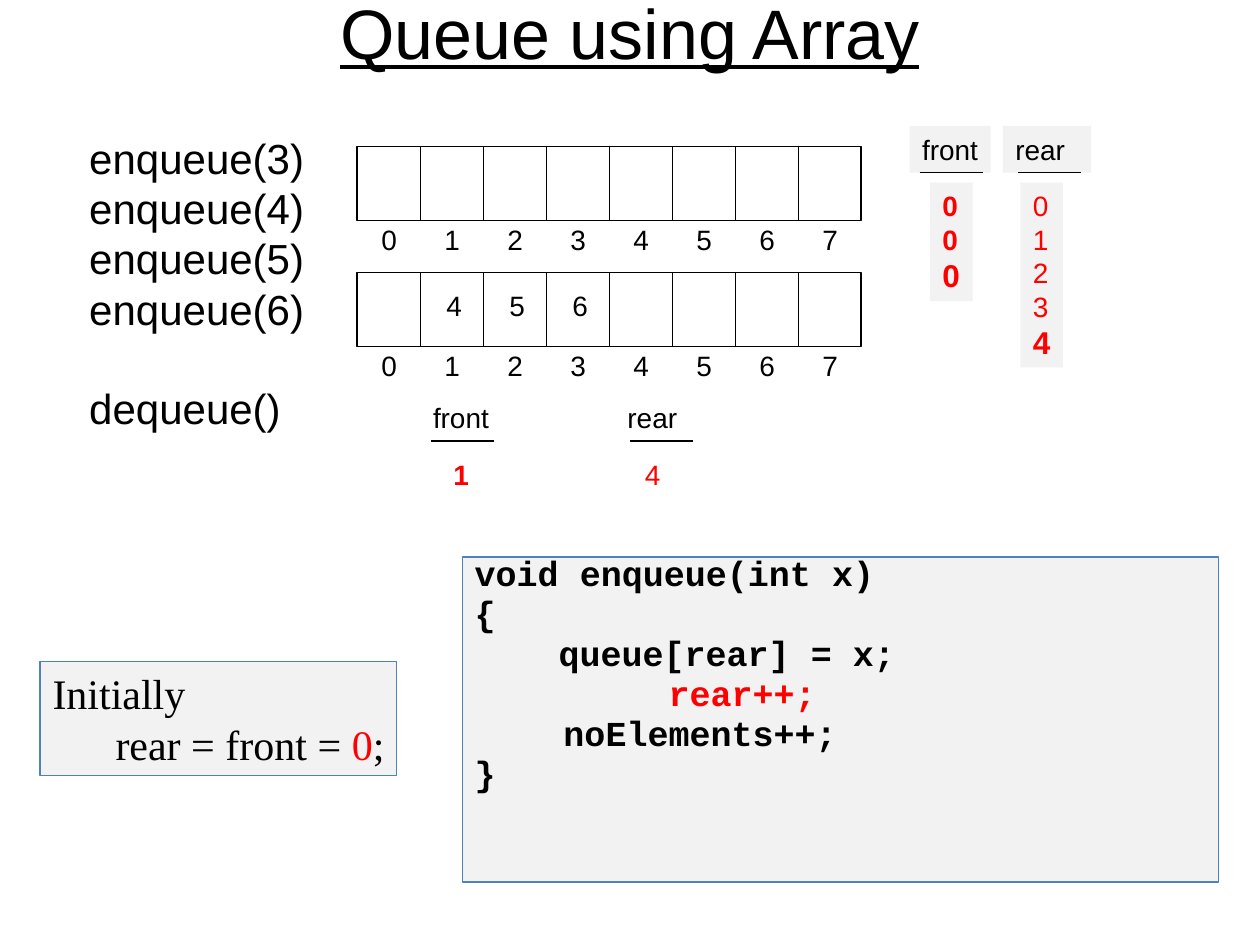
"""Build the slide on a queue held in an array."""
import pptx
import pptx.dml.color
import pptx.enum.shapes
import pptx.enum.text
import pptx.util
from lxml import etree

Cm, Pt = pptx.util.Cm, pptx.util.Pt
ALIGN, ANCHOR = pptx.enum.text.PP_ALIGN, pptx.enum.text.MSO_ANCHOR
BLACK, RED, GREY, BLUE, WHITE = "000000", "FF0000", "F2F2F2", "4F81BD", "FFFFFF"

BASE = {"size": Pt(16), "name": "Arial", "bold": False, "color": BLACK}
REDS = {"color": RED}
BOLD_RED = {"color": RED, "bold": True}
LAST = {**BOLD_RED, "size": Pt(18)}
CALL = {"size": Pt(24)}
CODE = {"size": Pt(20), "name": "Courier New", "bold": True}
NOTE = {"size": Pt(24), "name": "Times New Roman"}
CODE_GAP = {"line_spacing": 0.7, "space_before": Pt(6)}

LEFT, CELL, HEIGHT, CELLS = 7.2, 1.27, 1.48, 8
ARRAYS = [(2.96, {}), (5.5, {1: "4", 2: "5", 3: "6"})]
UNDERLINES = [(18.54, 3.48), (20.52, 3.48), (8.69, 8.89), (12.7, 8.89)]

TITLE = ((1.27, -0.64, 22.86, 2.54), [
    ([("Queue using Array", {"size": Pt(40), "underline": True})], {"alignment": ALIGN.CENTER}, 0),
], {"anchor": ANCHOR.MIDDLE, "wrap": True})

LABELS = [
    ((18.34, 2.54, 1.63, 0.94), "front", {"fill": GREY}),
    ((20.22, 2.54, 1.78, 0.94), "rear", {"fill": GREY, "wrap": True}),
    ((8.48, 7.95, 1.63, 0.94), "front", {}),
    ((12.4, 7.95, 1.78, 0.94), "rear", {"wrap": True}),
]

BLOCKS = [
    TITLE,
    ((18.75, 3.68, 0.86, 2.39), [
        ([("0", BOLD_RED)], {}, 0),
        ([("0", BOLD_RED)], {}, 0),
        ([("0", LAST)], {}, 0),
    ], {"fill": GREY}),
    ((20.57, 3.68, 0.86, 3.73),
     [([(n, REDS)], {}, 0) for n in "0123"] + [([("4", LAST)], {}, 0)],
     {"fill": GREY}),
    ((1.55, 2.54, 4.83, 6.35),
     [([(f"enqueue({n})", CALL)], {}, 0) for n in (3, 4, 5, 6)]
     + [([("dequeue()", CALL)], {"space_before": Pt(27.6)}, 0)], {}),
    ((8.89, 9.09, 0.81, 0.94), [([("1", BOLD_RED)], {}, 0)], {}),
    ((12.75, 9.09, 0.81, 0.94), [([("4", REDS)], {}, 0)], {}),
    ((9.32, 11.23, 15.24, 6.55), [
        ([("void enqueue(int x)", CODE)], CODE_GAP, 0),
        ([("{", CODE)], CODE_GAP, 0),
        ([("queue[rear] = x;", CODE)], CODE_GAP, 1.69),
        ([("rear++;", {**CODE, **REDS})], CODE_GAP, 3.91),
        ([("noElements++;", CODE)], CODE_GAP, 1.79),
        ([("}", CODE)], CODE_GAP, 0),
    ], {"fill": GREY, "line": BLUE, "wrap": True}),
    ((0.81, 13.34, 7.19, 2.29), [
        ([("Initially", NOTE)], {}, 0),
        ([("rear = front = ", NOTE), ("0", {**NOTE, **REDS}), (";", NOTE)], {}, 1.27),
    ], {"fill": GREY, "line": BLUE}),
]


def rgb(h):
    return pptx.dml.color.RGBColor.from_string(h)


def rect(s, at, fill, line=None):
    sp = s.shapes.add_shape(pptx.enum.shapes.MSO_SHAPE.RECTANGLE, *map(Cm, at))
    sp.shadow.inherit = False
    sp.fill.solid()
    sp.fill.fore_color.rgb = rgb(fill)
    if line:
        sp.line.color.rgb = rgb(line)
        sp.line.width = Pt(0.75)
    else:
        sp.line.fill.background()
    return sp


def line(s, x1, y1, x2, y2):
    c = s.shapes.add_connector(pptx.enum.shapes.MSO_CONNECTOR.STRAIGHT, *map(Cm, (x1, y1, x2, y2)))
    c.line.color.rgb = rgb(BLACK)
    c.line.width = Pt(0.75)
    etree.SubElement(c._element.spPr, pptx.oxml.ns.qn("a:effectLst"))
    return c


def block(s, at, paras, fill=None, line=None, wrap=False, anchor=ANCHOR.TOP):
    sp = rect(s, at, fill, line) if fill else s.shapes.add_textbox(*map(Cm, at))
    tf = sp.text_frame
    tf.word_wrap, tf.vertical_anchor = wrap, anchor
    for i, (runs, layout, indent) in enumerate(paras):
        p = tf.add_paragraph() if i else tf.paragraphs[0]
        for k, v in {"alignment": ALIGN.LEFT, **layout}.items():
            setattr(p, k, v)
        p._p.get_or_add_pPr().set("marL", str(Cm(indent)))
        for text, style in runs:
            r = p.add_run()
            r.text = text
            for k, v in {**BASE, **style}.items():
                if k == "color":
                    r.font.color.rgb = rgb(v)
                else:
                    setattr(r.font, k, v)


def label(s, at, text, **opts):
    block(s, at, [([(text, {})], {}, 0)], **opts)


def array(s, top, values):
    sp = rect(s, (LEFT, top, CELL * CELLS, HEIGHT), WHITE, BLACK)
    for i in range(CELLS):
        x = LEFT + i * CELL
        if i:
            c = line(s, x, top, x, top + HEIGHT)
            if i == CELLS // 2:
                c.begin_connect(sp, 0)
                c.end_connect(sp, 2)
        label(s, (x + 0.24, top + 1.4, 0.81, 0.94), str(i))
        if i in values:
            label(s, (x + 0.28, top + 0.2, 0.81, 0.94), values[i])


def main():
    prs = pptx.Presentation()
    prs.slide_width, prs.slide_height = Cm(25.4), Cm(19.05)
    s = prs.slides.add_slide(prs.slide_layouts[6])
    for top, values in ARRAYS:
        array(s, top, values)
    for at, text, opts in LABELS:
        label(s, at, text, **opts)
    for at, paras, opts in BLOCKS:
        block(s, at, paras, **opts)
    for x, y in UNDERLINES:
        line(s, x, y, x + CELL, y)
    prs.save("out.pptx")


if __name__ == "__main__":
    main()
